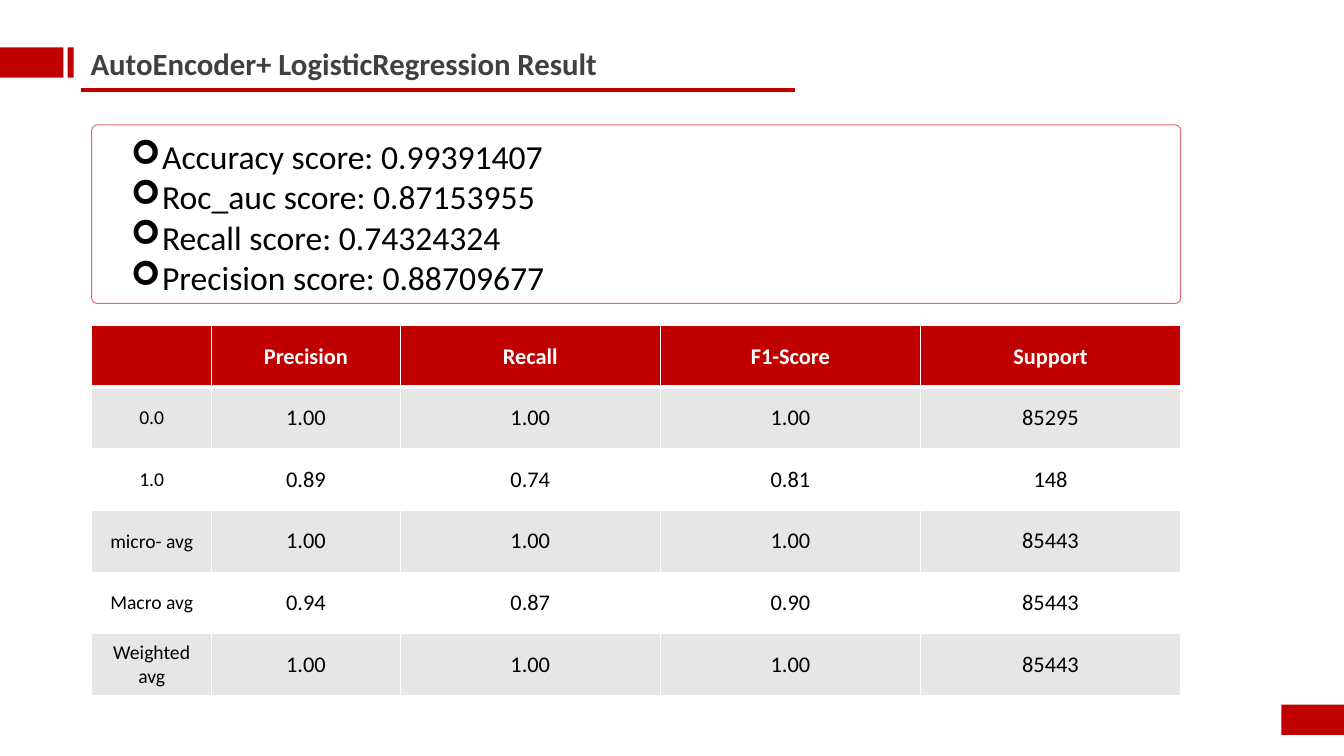
from lxml.etree import SubElement
from pptx import Presentation
from pptx.dml.color import RGBColor
from pptx.enum.shapes import MSO_CONNECTOR, MSO_SHAPE
from pptx.enum.text import MSO_ANCHOR, PP_ALIGN
from pptx.oxml.ns import qn
from pptx.util import Inches, Pt

RED, GREY, WHITE, BLACK = "C00000", "E7E6E6", "FFFFFF", "000000"
LEFT, WIDTH = 0.91, 10.8


def color(code):
    return RGBColor.from_string(code)


def style(font, size, code, bold=False):
    font.name = "Calibri"
    font.size = Pt(size)
    font.bold = bold
    font.color.rgb = color(code)


deck = Presentation()
deck.slide_width, deck.slide_height = Inches(13.33), Inches(7.5)
page = deck.slides.add_slide(deck.slide_layouts[6])

# Red accent blocks: corner, then the two beside the title
for left, top, width in [(12.71, 6.99, 0.63), (0, 0.47, 0.63), (0.67, 0.47, 0.06)]:
    block = page.shapes.add_shape(
        MSO_SHAPE.RECTANGLE, Inches(left), Inches(top), Inches(width), Inches(0.3))
    block.shadow.inherit = False
    block.fill.solid()
    block.fill.fore_color.rgb = color(RED)
    block.line.fill.background()

# Title and its underline
title = page.shapes.add_textbox(Inches(0.8), Inches(0.39), Inches(11.61), Inches(0.47))
title.text_frame.word_wrap = True
title.text_frame.text = "AutoEncoder+ LogisticRegression Result"
style(title.text_frame.paragraphs[0].runs[0].font, 22, "404040", bold=True)

underline = page.shapes.add_connector(
    MSO_CONNECTOR.STRAIGHT, Inches(0.8), Inches(0.89), Inches(7.89), Inches(0.89))
underline.line.color.rgb = color(RED)
underline.line.width = Pt(3)
SubElement(underline._element.spPr, qn("a:effectLst"))

# Score frame
frame = page.shapes.add_shape(
    MSO_SHAPE.ROUNDED_RECTANGLE, Inches(LEFT), Inches(1.24), Inches(WIDTH), Inches(1.77))
frame.adjustments[0] = 0.03
frame.shadow.inherit = False
frame.fill.background()
frame.line.color.rgb = color("DF6D6D")
frame.line.width = Pt(0.75)

# Bulleted scores
scores = [
    "Accuracy score: 0.99391407",
    "Roc_auc score: 0.87153955",
    "Recall score: 0.74324324",
    "Precision score: 0.88709677",
]
box = page.shapes.add_textbox(Inches(1.2), Inches(1.3), Inches(WIDTH), Inches(1.52))
box.text_frame.word_wrap = True
box.text_frame.text = "\n".join(scores)
for para in box.text_frame.paragraphs:
    properties = para._p.get_or_add_pPr()
    properties.set("marL", str(Inches(0.31)))
    properties.set("indent", str(Inches(-0.36)))
    bullet_color = SubElement(properties, qn("a:buClr"))
    SubElement(bullet_color, qn("a:srgbClr"), val=BLACK)
    SubElement(properties, qn("a:buFont"), typeface="Wingdings")
    SubElement(properties, qn("a:buChar"), char="➢")
    style(para.runs[0].font, 24, BLACK)

# Classification report
report = [
    ["", "Precision", "Recall", "F1-Score", "Support"],
    ["0.0", "1.00", "1.00", "1.00", "85295"],
    ["1.0", "0.89", "0.74", "0.81", "148"],
    ["micro- avg", "1.00", "1.00", "1.00", "85443"],
    ["Macro avg", "0.94", "0.87", "0.90", "85443"],
    ["Weighted avg", "1.00", "1.00", "1.00", "85443"],
]
table = page.shapes.add_table(
    len(report), len(report[0]),
    Inches(LEFT), Inches(3.23), Inches(WIDTH), Inches(3.67)).table
for column, width in zip(table.columns, [1.19, 1.87, 2.58, 2.58, 2.58]):
    column.width = Inches(width)

for r, values in enumerate(report):
    for c, value in enumerate(values):
        cell = table.cell(r, c)
        # White borders, thick between header and body
        for side in ("L", "R", "T", "B"):
            thick = (r, side) in [(0, "B"), (1, "T")]
            border = SubElement(cell._tc.get_or_add_tcPr(), qn(f"a:ln{side}"),
                                w=str(Pt(3 if thick else 1)))
            border_fill = SubElement(border, qn("a:solidFill"))
            SubElement(border_fill, qn("a:srgbClr"), val=WHITE)
        cell.fill.solid()
        cell.fill.fore_color.rgb = color(RED if r == 0 else GREY if r % 2 else WHITE)
        cell.vertical_anchor = MSO_ANCHOR.MIDDLE
        cell.text_frame.text = value
        para = cell.text_frame.paragraphs[0]
        para.alignment = PP_ALIGN.CENTER
        for span in para.runs:
            style(span.font, 14 if c == 0 else 16, BLACK if r else WHITE, bold=r == 0)

deck.save("out.pptx")
